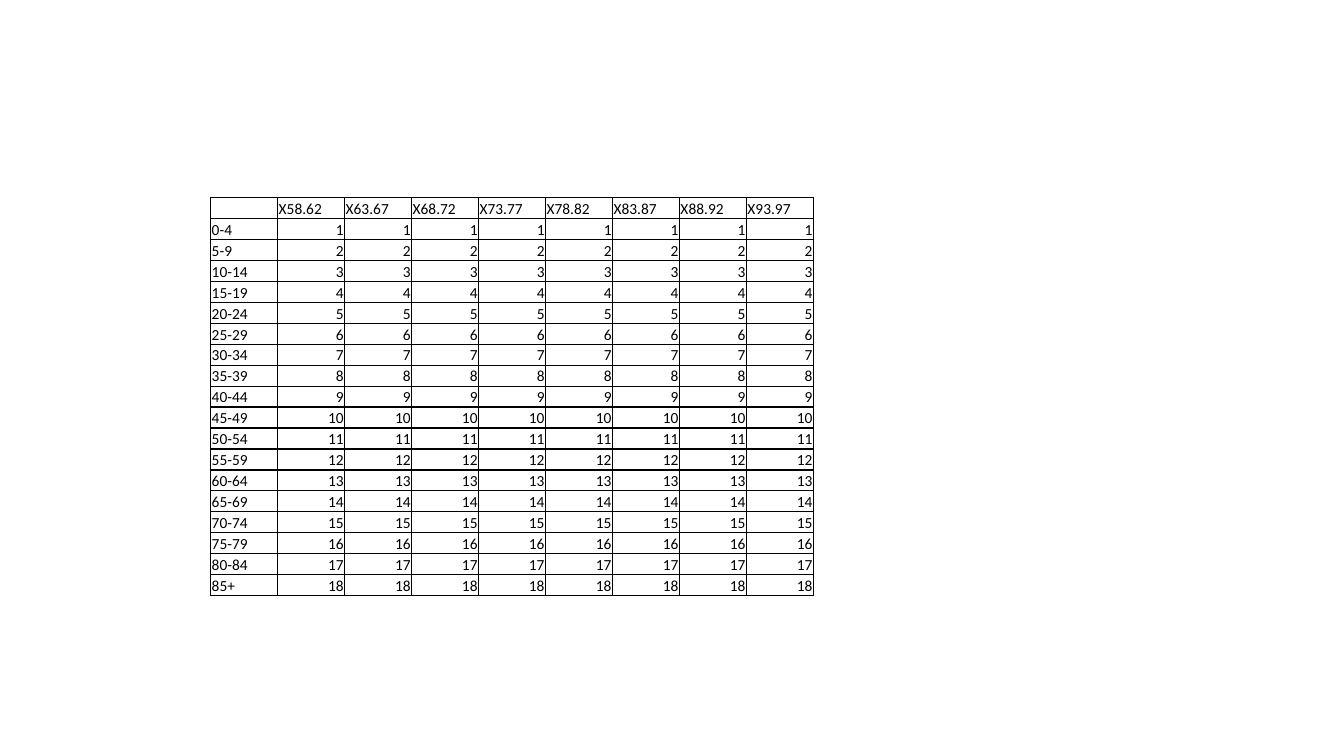
from lxml import etree
from pptx import Presentation
from pptx import util as u
from pptx.dml import color
from pptx.enum import text
from pptx.oxml import ns

AGES = [f"{low}-{low + 4}" for low in range(0, 85, 5)] + ["85+"]
SPANS = [f"X{year}.{year + 4}" for year in range(58, 94, 5)]
INK = "000000"


def rgb(code):
    return color.RGBColor.from_string(code)


def write(cell, words, size=11, font="Calibri", ink=INK, align=None):
    par = cell.text_frame.paragraphs[0]
    par.alignment = align
    if not words:
        # Keeps the height of an empty cell in step with its row
        end = etree.SubElement(par._p, ns.qn("a:endParaRPr"))
        end.set("sz", str(size * 100))
        return
    run = par.add_run()
    run.text = words
    run.font.size = u.Pt(size)
    run.font.name = font
    run.font.color.rgb = rgb(ink)


def frame(cell, ink=INK, width=1):
    props = cell._tc.get_or_add_tcPr()
    for side in "LRTB":
        line = etree.SubElement(props, ns.qn(f"a:ln{side}"), w=str(u.Pt(width)))
        fill = etree.SubElement(line, ns.qn("a:solidFill"))
        etree.SubElement(fill, ns.qn("a:srgbClr"), val=ink)


def style(cell):
    cell.margin_left = cell.margin_right = cell.margin_top = u.Inches(0.01)
    cell.margin_bottom = 0
    cell.vertical_anchor = text.MSO_ANCHOR.BOTTOM
    frame(cell)
    cell.fill.background()


def add_grid(slide, rows, left, top, width, height):
    shape = slide.shapes.add_table(
        len(rows), len(rows[0]), u.Inches(left), u.Inches(top),
        u.Inches(width), u.Inches(height))
    table = shape.table
    table.first_row = table.horz_banding = False
    for r, row in enumerate(rows):
        for c, words in enumerate(row):
            cell = table.cell(r, c)
            style(cell)
            # Values sit to the right, labels to the left
            align = text.PP_ALIGN.RIGHT if r and c else None
            write(cell, words, align=align)


def main():
    deck = Presentation()
    deck.slide_width = u.Inches(13.33)
    deck.slide_height = u.Inches(7.5)
    slide = deck.slides.add_slide(deck.slide_layouts[6])

    # Age groups by period
    rows = [[""] + SPANS]
    for rank, age in enumerate(AGES, 1):
        rows.append([age] + [str(rank)] * len(SPANS))
    add_grid(slide, rows, 2.09, 1.96, 5.98, 3.95)

    deck.save("out.pptx")


if __name__ == "__main__":
    main()
